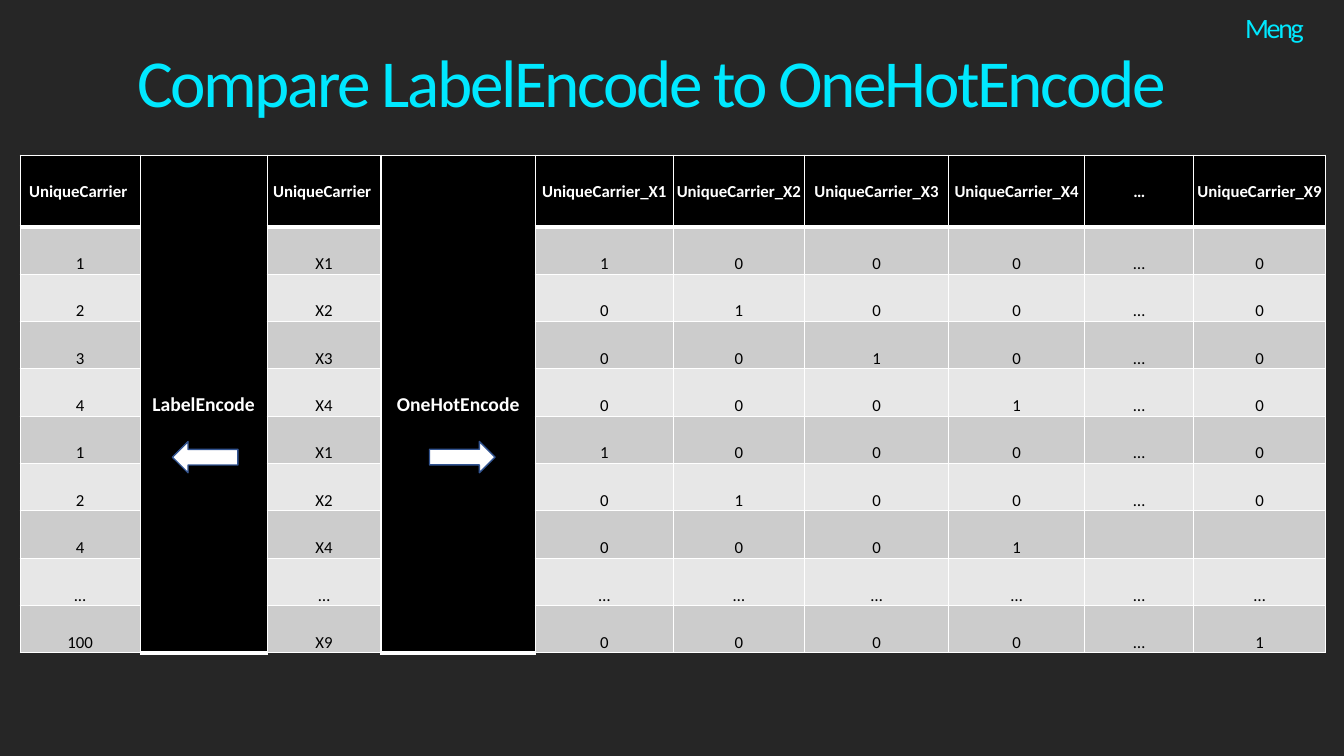
"""Build a slide comparing label encoding with one-hot encoding of airline carriers."""
from dataclasses import dataclass

from lxml.etree import SubElement
from pptx import Presentation
from pptx.dml.color import RGBColor
from pptx.enum.shapes import MSO_SHAPE
from pptx.enum.text import MSO_ANCHOR, MSO_AUTO_SIZE, PP_ALIGN
from pptx.oxml.ns import qn
from pptx.slide import Slide
from pptx.table import Table, _Cell as Cell
from pptx.text.text import TextFrame
from pptx.util import Inches, Pt

FONT = "Calibri"
BACKGROUND = RGBColor(0x26, 0x26, 0x26)
CYAN = RGBColor(0x00, 0xE8, 0xFF)
MAGENTA = RGBColor(0xFF, 0x00, 0xF7)
WHITE = RGBColor(0xFF, 0xFF, 0xFF)
BLACK = RGBColor(0x00, 0x00, 0x00)
DARK_BAND = RGBColor(0xCC, 0xCC, 0xCC)
LIGHT_BAND = RGBColor(0xE7, 0xE7, 0xE7)
ARROW_LINE = RGBColor(0x32, 0x54, 0x91)

COLUMN_WIDTHS = [1.19, 1.26, 1.13, 1.53, 1.37, 1.3, 1.43, 1.35, 1.08, 1.31]
HEADER_HEIGHT, ROW_HEIGHT = 0.71, 0.47
HEADERS = [
    "UniqueCarrier ", "LabelEncode", "UniqueCarrier ", "OneHotEncode",
    "UniqueCarrier_X1", "UniqueCarrier_X2", "UniqueCarrier_X3",
    "UniqueCarrier_X4", "…", "UniqueCarrier_X9",
]
ENCODER_COLUMNS = (1, 3)


@dataclass
class Record:
    label: str
    carrier: str
    flags: list[str]


@dataclass
class CellStyle:
    fill: RGBColor
    color: RGBColor
    size: float
    bold: bool
    anchor: MSO_ANCHOR
    borders: dict[str, float]


@dataclass
class Arrow:
    left: float
    rotation: float


RECORDS = [
    Record("1", "X1", ["1", "0", "0", "0", "…", "0"]),
    Record("2", "X2", ["0", "1", "0", "0", "…", "0"]),
    Record("3", "X3", ["0", "0", "1", "0", "…", "0"]),
    Record("4", "X4", ["0", "0", "0", "1", "…", "0"]),
    Record("1", "X1", ["1", "0", "0", "0", "…", "0"]),
    Record("2", "X2", ["0", "1", "0", "0", "…", "0"]),
    Record("4", "X4", ["0", "0", "0", "1", "", ""]),
    Record("...", "…", ["…"] * 6),
    Record("100", "X9", ["0", "0", "0", "0", "…", "1"]),
]
ARROWS = [Arrow(4.26, 0), Arrow(1.71, 180)]


def write_heading(tf: TextFrame, text: str, size: float) -> None:
    tf.word_wrap = True
    tf.auto_size = MSO_AUTO_SIZE.NONE
    tf.vertical_anchor = MSO_ANCHOR.BOTTOM
    tf.margin_left = tf.margin_right = tf.margin_top = tf.margin_bottom = Inches(0.03)
    p = tf.paragraphs[0]
    p.alignment = PP_ALIGN.CENTER
    p.line_spacing = 0.9
    r = p.add_run()
    r.text = text
    r.font.name = FONT
    r.font.size = Pt(size)
    r.font.fill.gradient()
    r.font.fill.gradient_angle = 294
    for stop, color in zip(r.font.fill.gradient_stops, (CYAN, MAGENTA)):
        stop.color.rgb = color
    r._r.get_or_add_rPr().set("spc", "-170")


def set_borders(cell: Cell, borders: dict[str, float]) -> None:
    tc_pr = cell._tc.get_or_add_tcPr()
    for side, width in borders.items():
        ln = SubElement(tc_pr, qn(f"a:ln{side}"), w=str(Pt(width)))
        fill = SubElement(ln, qn("a:solidFill"))
        SubElement(fill, qn("a:srgbClr"), val=str(WHITE))


def fill_cell(cell: Cell, text: str, style: CellStyle) -> None:
    set_borders(cell, style.borders)
    cell.fill.solid()
    cell.fill.fore_color.rgb = style.fill
    cell.vertical_anchor = style.anchor
    cell.margin_left = cell.margin_right = cell.margin_top = Inches(0.01)
    cell.margin_bottom = 0
    p = cell.text_frame.paragraphs[0]
    p.text = text
    p.alignment = PP_ALIGN.CENTER
    p.font.name = FONT
    p.font.size = Pt(style.size)
    p.font.bold = style.bold
    p.font.color.rgb = style.color


def fill_table(table: Table) -> None:
    for column, width in zip(table.columns, COLUMN_WIDTHS):
        column.width = Inches(width)
    for row in table.rows:
        row.height = Inches(ROW_HEIGHT)
    table.rows[0].height = Inches(HEADER_HEIGHT)
    for col in ENCODER_COLUMNS:
        table.cell(0, col).merge(table.cell(len(RECORDS), col))

    header_borders = {"L": 1, "R": 1, "T": 1, "B": 3}
    for col, text in enumerate(HEADERS):
        size = 14 if col in ENCODER_COLUMNS else 12
        style = CellStyle(BLACK, WHITE, size, True, MSO_ANCHOR.MIDDLE, header_borders)
        fill_cell(table.cell(0, col), text, style)

    body_columns = [c for c in range(len(HEADERS)) if c not in ENCODER_COLUMNS]
    for row, record in enumerate(RECORDS, 1):
        band = DARK_BAND if row % 2 else LIGHT_BAND
        style = CellStyle(band, BLACK, 12, False, MSO_ANCHOR.BOTTOM, {"L": 1, "R": 1, "B": 1})
        for col, text in zip(body_columns, [record.label, record.carrier, *record.flags]):
            fill_cell(table.cell(row, col), text, style)


def add_arrow(s: Slide, arrow: Arrow) -> None:
    sp = s.shapes.add_shape(
        MSO_SHAPE.RIGHT_ARROW, Inches(arrow.left), Inches(4.38), Inches(0.65), Inches(0.31))
    sp.rotation = arrow.rotation
    sp.shadow.inherit = False
    sp.fill.solid()
    sp.fill.fore_color.rgb = WHITE
    sp.line.color.rgb = ARROW_LINE
    sp.line.width = Pt(1)


def main() -> None:
    prs = Presentation()
    prs.slide_width, prs.slide_height = Inches(13.33), Inches(7.5)
    s = prs.slides.add_slide(prs.slide_layouts[5])
    s.background.fill.solid()
    s.background.fill.fore_color.rgb = BACKGROUND

    title = s.shapes.title
    title.left, title.top = Inches(0.08), Inches(0.28)
    title.width, title.height = Inches(12.89), Inches(0.96)
    write_heading(title.text_frame, "Compare LabelEncode to OneHotEncode ", 48)

    frame = s.shapes.add_table(
        len(RECORDS) + 1, len(HEADERS), Inches(0.2), Inches(1.54), Inches(12.96), Inches(4.94))
    fill_table(frame.table)

    for arrow in ARROWS:
        add_arrow(s, arrow)

    author = s.shapes.add_textbox(Inches(10.7), Inches(-0.13), Inches(3.88), Inches(0.6))
    write_heading(author.text_frame, "Meng", 20)
    prs.save("out.pptx")


if __name__ == "__main__":
    main()
